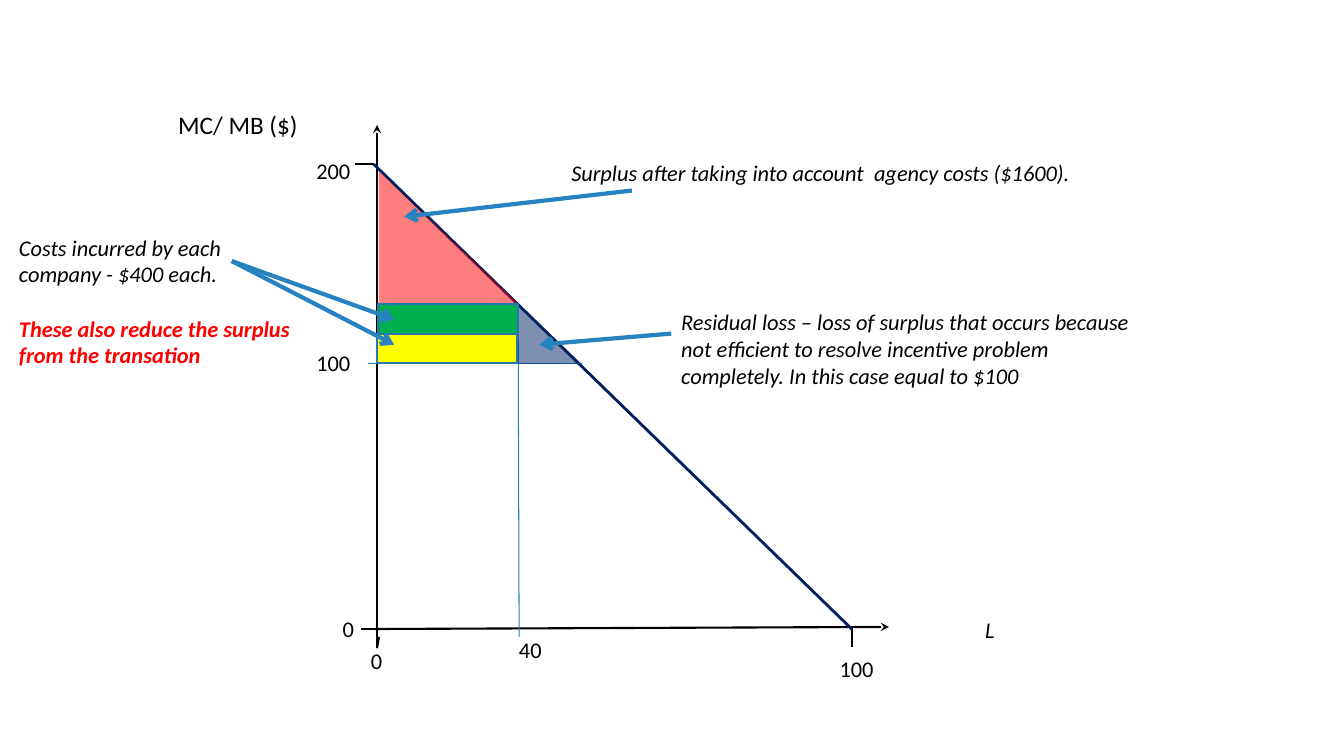
import pptx
import pptx.dml.color
import pptx.enum.shapes
import pptx.enum.text
import pptx.oxml.ns
import pptx.util
from lxml import etree

Pt = pptx.util.Pt
qn = pptx.oxml.ns.qn
SHAPES = pptx.enum.shapes.MSO_SHAPE
ALIGN = pptx.enum.text.PP_ALIGN

COLORS = {
    "black": "000000", "navy": "002060", "blue": "2683BF", "edge": "2379B0",
    "red": "FF0000", "green": "00B050", "yellow": "FFFF00",
}
FONT = "Calibri"

AXES = [
    (269.3, 462.2, 269.3, 89.3),
    (267.8, 449.3, 635, 447.8),
]
TICKS = [
    (269.3, 463, 270.7, 455),
    (257.8, 449.3, 270.7, 449.3),
    (608.4, 447.8, 608.4, 462.2),
    (253.4, 117.4, 267.1, 117.4),
]
DEMAND = [(267.1, 117.4, 608.4, 449.3)]
GUIDES = [
    (415.4, 259.9, 262.8, 259.9),
    (370.1, 217.4, 370.8, 455),
]
POINTERS = [
    (451.4, 136.1, 288.7, 154.8),
    (479.5, 238.3, 385.2, 246.2),
    (165.6, 186.5, 281.5, 228.2),
    (165.6, 186.5, 281.5, 246.2),
]
LINE_GROUPS = [
    (AXES, "black", 1.5, "stealth"),
    (TICKS, "black", 1.5, None),
    (DEMAND, "navy", 2, None),
    (GUIDES, "blue", 0.75, None),
]
AREAS = [
    (SHAPES.RIGHT_TRIANGLE, 270.7, 122.4, 100.1, 95, "red", 50),
    (SHAPES.RIGHT_TRIANGLE, 370.1, 217.4, 45.4, 42.5, "navy", 50),
    (SHAPES.RECTANGLE, 270, 217.4, 100.1, 20.9, "green", None),
    (SHAPES.RECTANGLE, 269.3, 238.3, 100.1, 20.9, "yellow", None),
]
SCALE_LABELS = [
    ("0", 257.8, 458.6, 31),
    ("0", 237.6, 435.6, 20.2),
    ("100", 592.6, 464.4, 60.5),
    ("200", 218.9, 108.7, 54.7),
    ("100", 218.9, 246.2, 43.9),
    ("40", 363.6, 450.7, 43.9),
]
NOTES = [
    (["Surplus after taking into account  agency costs ($1600)."],
     401, 110.2, 404, 26.6),
    (["Residual loss – loss of surplus that occurs because not efficient to "
      "resolve incentive problem completely. In this case equal to $100"],
     479.5, 216.7, 347, 65.5),
    (["Costs incurred by each company - $400 each.",
      "These also reduce the surplus from the transation"],
     6.5, 163.4, 218.9, 104.4),
]


def color(name):
    return pptx.dml.color.RGBColor.from_string(COLORS[name])


def add_lines(page, lines, tint, width, arrow):
    for ends in lines:
        line = page.shapes.add_connector(
            pptx.enum.shapes.MSO_CONNECTOR.STRAIGHT, *map(Pt, ends))
        line.line.color.rgb = color(tint)
        line.line.width = Pt(width)
        if arrow:
            etree.SubElement(line.line._get_or_add_ln(), qn("a:tailEnd"), type=arrow)
        etree.SubElement(line._element.spPr, qn("a:effectLst"))


def add_area(page, kind, left, top, width, height, tint, opacity):
    area = page.shapes.add_shape(kind, *map(Pt, (left, top, width, height)))
    area.shadow.inherit = False
    area.fill.solid()
    area.fill.fore_color.rgb = color(tint)
    if opacity:
        shade = area._element.spPr.find(qn("a:solidFill"))[0]
        etree.SubElement(shade, qn("a:alpha"), val=str(opacity * 1000))
        area.line.fill.background()
    else:
        area.line.color.rgb = color("edge")
        area.line.width = Pt(1.25)


def add_text(page, texts, left, top, width, height=26.6, size=16,
             italic=False, align=ALIGN.LEFT):
    box = page.shapes.add_textbox(*map(Pt, (left, top, width, height)))
    frame = box.text_frame
    frame.word_wrap = True
    for index, text in enumerate(texts):
        para = frame.add_paragraph() if index else frame.paragraphs[0]
        para.alignment = align
        if index:
            para.space_before = Pt(19.5)
        span = para.add_run()
        span.text = text
        span.font.name = FONT
        span.font.size = Pt(size)
        span.font.italic = italic
        span.font.bold = index > 0
        span.font.color.rgb = color("red" if index else "black")


def main():
    deck = pptx.Presentation()
    deck.slide_width, deck.slide_height = Pt(960), Pt(540)
    page = deck.slides.add_slide(deck.slide_layouts[6])
    for group in LINE_GROUPS:
        add_lines(page, *group)
    for area in AREAS:
        add_area(page, *area)
    add_lines(page, POINTERS, "blue", 3, "arrow")
    add_text(page, ["MC/ MB ($)"], 120.2, 74.2, 121, 28.8, size=18)
    add_text(page, ["L"], 645.8, 436.3, 122.4, italic=True, align=ALIGN.CENTER)
    for label, left, top, width in SCALE_LABELS:
        add_text(page, [label], left, top, width)
    for note in NOTES:
        add_text(page, *note, italic=True)
    deck.save("out.pptx")


if __name__ == "__main__":
    main()
